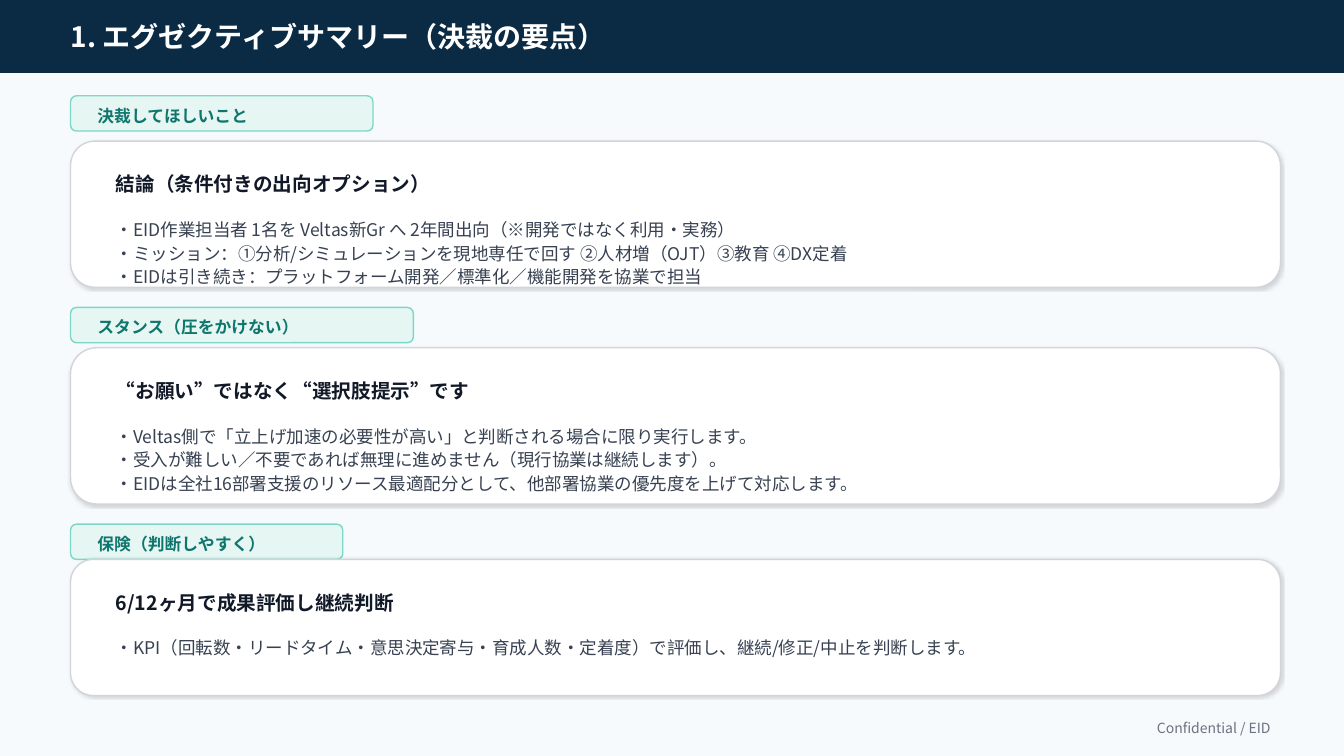
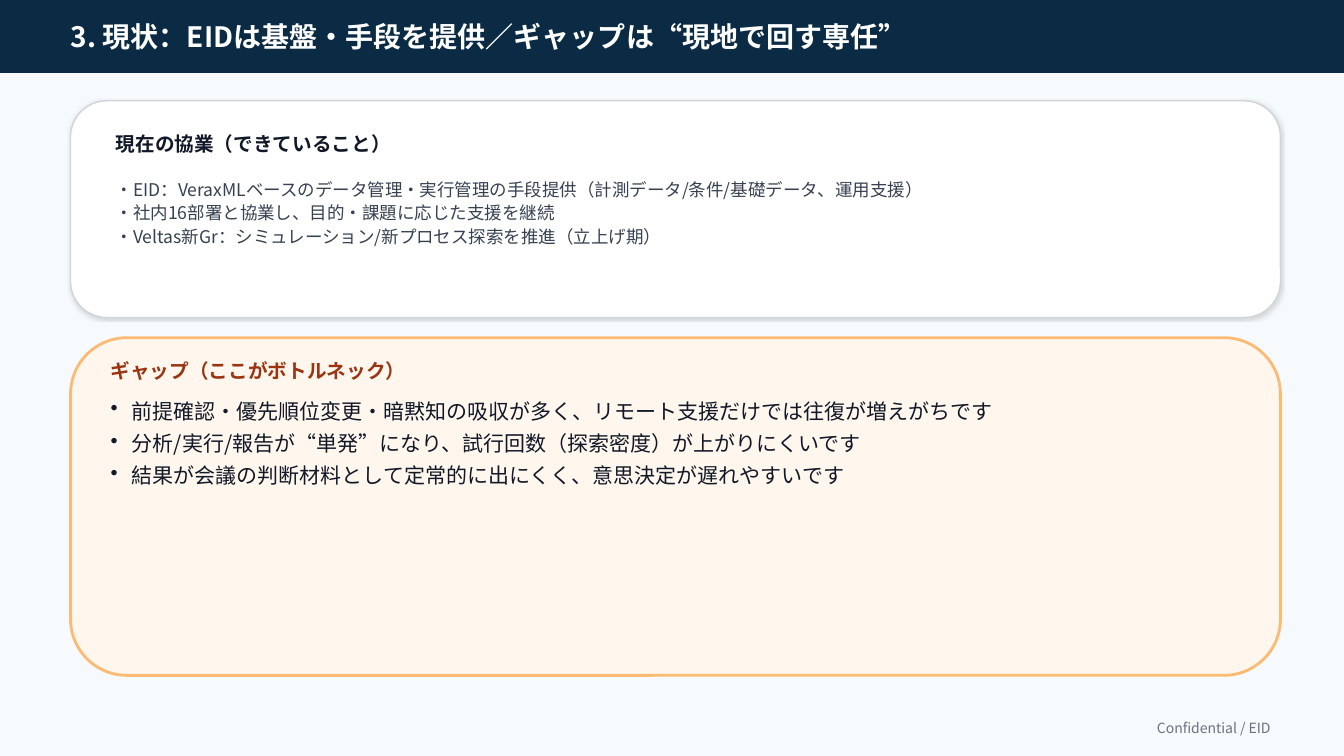
from lxml import etree
from pptx import Presentation
from pptx.dml.color import RGBColor
from pptx.enum.shapes import MSO_SHAPE
from pptx.enum.text import MSO_ANCHOR, PP_ALIGN
from pptx.oxml.ns import qn
from pptx.util import Inches, Pt

# Content: heights and gaps in inches
SUMMARY_TITLE = "1. エグゼクティブサマリー（決裁の要点）"
SUMMARY_TOP = 0.95
SUMMARY_SECTIONS = [
    dict(tag="決裁してほしいこと", tag_width=3, tag_to_card=0.45, card_height=1.45,
         heading="結論（条件付きの出向オプション）",
         lines=["・EID作業担当者 1名を Veltas新Gr へ 2年間出向（※開発ではなく利用・実務）",
                "・ミッション：①分析/シミュレーションを現地専任で回す ②人材増（OJT）③教育 ④DX定着",
                "・EIDは引き続き：プラットフォーム開発／標準化／機能開発を協業で担当"]),
    dict(tag="スタンス（圧をかけない）", tag_width=3.4, tag_to_card=0.4, card_height=1.55,
         heading="“お願い”ではなく“選択肢提示”です",
         lines=["・Veltas側で「立上げ加速の必要性が高い」と判断される場合に限り実行します。",
                "・受入が難しい／不要であれば無理に進めません（現行協業は継続します）。",
                "・EIDは全社16部署支援のリソース最適配分として、他部署協業の優先度を上げて対応します。"]),
    dict(tag="保険（判断しやすく）", tag_width=2.7, tag_to_card=0.35, card_height=1.35,
         heading="6/12ヶ月で成果評価し継続判断",
         lines=["・KPI（回転数・リードタイム・意思決定寄与・育成人数・定着度）で評価し、"
                "継続/修正/中止を判断します。"]),
]

STATUS_TITLE = "3. 現状：EIDは基盤・手段を提供／ギャップは“現地で回す専任”"
STATUS_TOP = 1
COLLABORATION = dict(
    card_height=2.15,
    heading="現在の協業（できていること）",
    lines=["・EID：VeraxMLベースのデータ管理・実行管理の手段提供（計測データ/条件/基礎データ、運用支援）",
           "・社内16部署と協業し、目的・課題に応じた支援を継続",
           "・Veltas新Gr：シミュレーション/新プロセス探索を推進（立上げ期）"])
BOTTLENECK = dict(
    panel_height=3.35,
    heading="ギャップ（ここがボトルネック）",
    lines=["前提確認・優先順位変更・暗黙知の吸収が多く、リモート支援だけでは往復が増えがちです",
           "分析/実行/報告が“単発”になり、試行回数（探索密度）が上がりにくいです",
           "結果が会議の判断材料として定常的に出にくく、意思決定が遅れやすいです"])
FOOTER = "Confidential / EID"

# Shared style
FONT = "Noto Sans CJK JP"
PAPER = RGBColor(0xF7, 0xFA, 0xFC)
NAVY = RGBColor(0x0B, 0x2B, 0x45)
WHITE = RGBColor(0xFF, 0xFF, 0xFF)
MINT = RGBColor(0xE6, 0xF6, 0xF3)
MINT_EDGE = RGBColor(0x7C, 0xD7, 0xC8)
TEAL = RGBColor(0x0F, 0x76, 0x6E)
CARD_EDGE = RGBColor(0xD1, 0xD5, 0xDB)
INK = RGBColor(0x11, 0x18, 0x27)
SLATE = RGBColor(0x37, 0x41, 0x51)
GRAY = RGBColor(0x6B, 0x72, 0x80)
CREAM = RGBColor(0xFF, 0xF7, 0xED)
ORANGE = RGBColor(0xFD, 0xBA, 0x74)
RUST = RGBColor(0x9A, 0x34, 0x12)

SLIDE_WIDTH, SLIDE_HEIGHT = 13.33, 7.5
LEFT, WIDTH, GAP = 0.7, 12, 0.2
TAG_HEIGHT, HEADING_HEIGHT = 0.35, 0.35


def add_box(slide, preset, left, top, width, height, fill, edge, edge_width=1):
    box = slide.shapes.add_shape(
        preset, Inches(left), Inches(top), Inches(width), Inches(height))
    box.shadow.inherit = False
    box.fill.solid()
    box.fill.fore_color.rgb = fill
    box.line.color.rgb = edge
    box.line.width = Pt(edge_width)
    return box


def write(frame, lines, size, color, bold=False, align=PP_ALIGN.LEFT,
          anchor=MSO_ANCHOR.MIDDLE, spacing=None):
    frame.word_wrap = True
    frame.vertical_anchor = anchor
    frame.text = "\n".join(lines)
    for paragraph in frame.paragraphs:
        paragraph.alignment = align
        paragraph.line_spacing = spacing
        font = paragraph.font
        font.name, font.size, font.bold = FONT, Pt(size), bold
        font.color.rgb = color
        defaults = paragraph._p.pPr.find(qn("a:defRPr"))
        latin = defaults.find(qn("a:latin"))
        east_asian = etree.Element(qn("a:ea"), typeface=FONT)
        latin.addnext(east_asian)


def add_text(slide, left, top, width, height, lines, size, color, **style):
    frame = slide.shapes.add_textbox(
        Inches(left), Inches(top), Inches(width), Inches(height)).text_frame
    write(frame, lines, size, color, **style)
    return frame


def add_soft_shadow(box):
    effects = box._element.spPr.find(qn("a:effectLst"))
    shadow = etree.SubElement(
        effects, qn("a:outerShdw"), blurRad=str(Pt(2)), dist=str(Pt(1)),
        dir=str(45 * 60000), algn="tl", rotWithShape="0")
    tint = etree.SubElement(shadow, qn("a:srgbClr"), val="000000")
    etree.SubElement(tint, qn("a:alpha"), val="14000")


def add_bullets(frame):
    indent = Inches(0.21)
    for paragraph in frame.paragraphs:
        paragraph.space_after = Pt(5.2)
        properties = paragraph._p.pPr
        properties.set("marL", str(indent))
        properties.set("indent", str(-indent))
        bullet = etree.Element(qn("a:buChar"), char="•")
        properties.find(qn("a:defRPr")).addprevious(bullet)


def add_slide(deck, title):
    slide = deck.slides.add_slide(deck.slide_layouts[6])
    slide.background.fill.solid()
    slide.background.fill.fore_color.rgb = PAPER
    band = add_box(slide, MSO_SHAPE.RECTANGLE, 0, 0, SLIDE_WIDTH, 0.72, NAVY, NAVY)
    band.text_frame.margin_left = Inches(LEFT)
    write(band.text_frame, [title], 20, WHITE, bold=True)
    add_text(slide, 0.6, 7.1, 12.1, 0.25, [FOOTER], 10, GRAY, align=PP_ALIGN.RIGHT)
    return slide


def add_tag(slide, top, width, label):
    tag = add_box(slide, MSO_SHAPE.ROUNDED_RECTANGLE, LEFT, top, width, TAG_HEIGHT,
                  MINT, MINT_EDGE)
    frame = tag.text_frame
    frame.margin_left, frame.margin_top, frame.margin_bottom = Inches(0.25), Inches(0.04), 0
    write(frame, [label], 12, TEAL, bold=True)


def add_card(slide, top, height, heading, lines):
    """Draw a white card and return the top of whatever follows it."""
    card = add_box(slide, MSO_SHAPE.ROUNDED_RECTANGLE, LEFT, top, WIDTH, height,
                   WHITE, CARD_EDGE)
    add_soft_shadow(card)
    left, width = LEFT + 0.35, WIDTH - 0.7
    add_text(slide, left, top + 0.25, width, HEADING_HEIGHT, [heading], 14, INK, bold=True)
    add_text(slide, left, top + 0.7, width, height - 0.9, lines, 12.5, SLATE,
             anchor=MSO_ANCHOR.TOP, spacing=1.12)
    return top + height + GAP


def add_bottleneck_panel(slide, top, height, heading, lines):
    add_box(slide, MSO_SHAPE.ROUNDED_RECTANGLE, LEFT, top, WIDTH, height,
            CREAM, ORANGE, edge_width=2)
    left, width = LEFT + 0.3, WIDTH - 0.6
    add_text(slide, left, top + 0.15, width, HEADING_HEIGHT, [heading], 14, RUST, bold=True)
    points = add_text(slide, left, top + 0.55, width, height - 0.75, lines, 15, INK,
                      anchor=MSO_ANCHOR.TOP)
    add_bullets(points)


def main():
    deck = Presentation()
    deck.slide_width, deck.slide_height = Inches(SLIDE_WIDTH), Inches(SLIDE_HEIGHT)

    # Executive summary: tagged cards stacked downwards
    summary = add_slide(deck, SUMMARY_TITLE)
    top = SUMMARY_TOP
    for section in SUMMARY_SECTIONS:
        add_tag(summary, top, section["tag_width"], section["tag"])
        top = add_card(summary, top + section["tag_to_card"], section["card_height"],
                       section["heading"], section["lines"])

    # Current status: collaboration card above the bottleneck panel
    status = add_slide(deck, STATUS_TITLE)
    top = add_card(status, STATUS_TOP, COLLABORATION["card_height"],
                   COLLABORATION["heading"], COLLABORATION["lines"])
    add_bottleneck_panel(status, top, BOTTLENECK["panel_height"],
                         BOTTLENECK["heading"], BOTTLENECK["lines"])

    deck.save("out.pptx")


if __name__ == "__main__":
    main()
